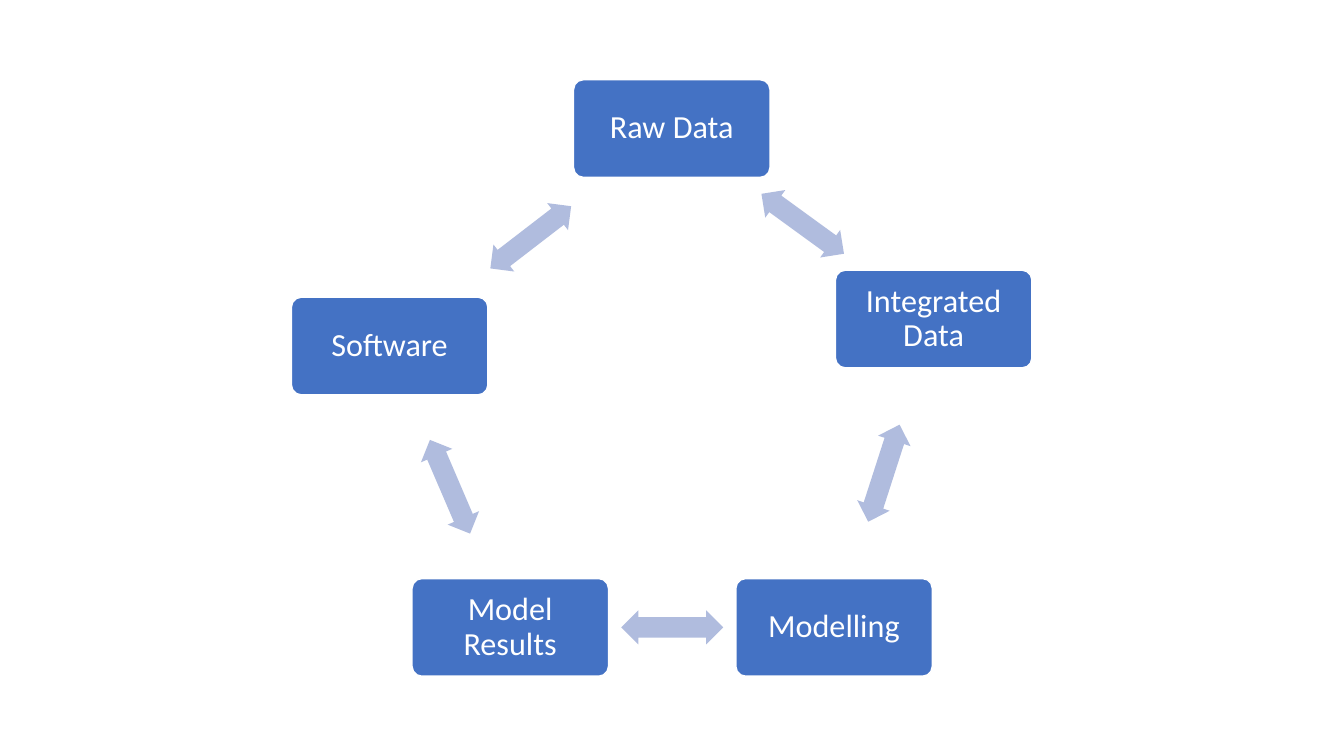
from dataclasses import dataclass
from math import atan2, degrees

from pptx import Presentation
from pptx.dml.color import RGBColor
from pptx.enum.shapes import MSO_SHAPE
from pptx.enum.text import MSO_ANCHOR, PP_ALIGN
from pptx.util import Cm, Pt


@dataclass(frozen=True)
class Theme:
    box_fill: RGBColor = RGBColor(0x44, 0x72, 0xC4)
    arrow_fill: RGBColor = RGBColor(0xB0, 0xBC, 0xDE)
    white: RGBColor = RGBColor(0xFF, 0xFF, 0xFF)
    font: str = "Calibri"
    text_size: Pt = Pt(23)
    outline: Pt = Pt(1)


# Stages of the cycle, clockwise: label and centre in cm
STAGES = [
    ("Raw Data", (16.93, 3.24)),
    ("Integrated Data", (23.53, 8.04)),
    ("Modelling", (21.02, 15.81)),
    ("Model Results", (12.86, 15.81)),
    ("Software", (9.82, 8.72)),
]
BOX_SIZE = (4.95, 2.46)
ARROW_SIZE = (2.57, 0.86)
TEXT_INSET = 0.25


class CycleSlide:
    def __init__(self, presentation, theme):
        self.theme = theme
        self.slide = presentation.slides.add_slide(presentation.slide_layouts[6])

    def add_centred(self, kind, centre, size, fill):
        (x, y), (width, height) = centre, size
        shape = self.slide.shapes.add_shape(
            kind, Cm(x - width / 2), Cm(y - height / 2), Cm(width), Cm(height))
        shape.shadow.inherit = False
        shape.fill.solid()
        shape.fill.fore_color.rgb = fill
        return shape

    def add_stage(self, label, centre):
        shape = self.add_centred(
            MSO_SHAPE.ROUNDED_RECTANGLE, centre, BOX_SIZE, self.theme.box_fill)
        shape.adjustments[0] = 0.1
        shape.line.color.rgb = self.theme.white
        shape.line.width = self.theme.outline

        # Label inside the box
        frame = shape.text_frame
        frame.word_wrap = True
        frame.vertical_anchor = MSO_ANCHOR.MIDDLE
        frame.margin_left = frame.margin_right = Cm(TEXT_INSET)
        frame.margin_top = frame.margin_bottom = Cm(TEXT_INSET)
        paragraph = frame.paragraphs[0]
        paragraph.alignment = PP_ALIGN.CENTER
        paragraph.line_spacing = 0.9
        run = paragraph.add_run()
        run.text = label
        run.font.name = self.theme.font
        run.font.size = self.theme.text_size
        run.font.color.rgb = self.theme.white

    def add_arrow(self, start, end):
        """Place a double arrow halfway between two centres, along their line."""
        (x1, y1), (x2, y2) = start, end
        shape = self.add_centred(
            MSO_SHAPE.LEFT_RIGHT_ARROW, ((x1 + x2) / 2, (y1 + y2) / 2),
            ARROW_SIZE, self.theme.arrow_fill)
        shape.adjustments[0] = 0.6
        shape.adjustments[1] = 0.5
        shape.line.fill.background()
        shape.rotation = round(degrees(atan2(y2 - y1, x2 - x1)) % 360, 1)


def main():
    presentation = Presentation()
    presentation.slide_width = Cm(33.87)
    presentation.slide_height = Cm(19.05)
    cycle = CycleSlide(presentation, Theme())

    # Each stage, then the arrow to the next one
    following = STAGES[1:] + STAGES[:1]
    for (label, centre), (_, next_centre) in zip(STAGES, following):
        cycle.add_stage(label, centre)
        cycle.add_arrow(centre, next_centre)

    presentation.save("out.pptx")


if __name__ == "__main__":
    main()
